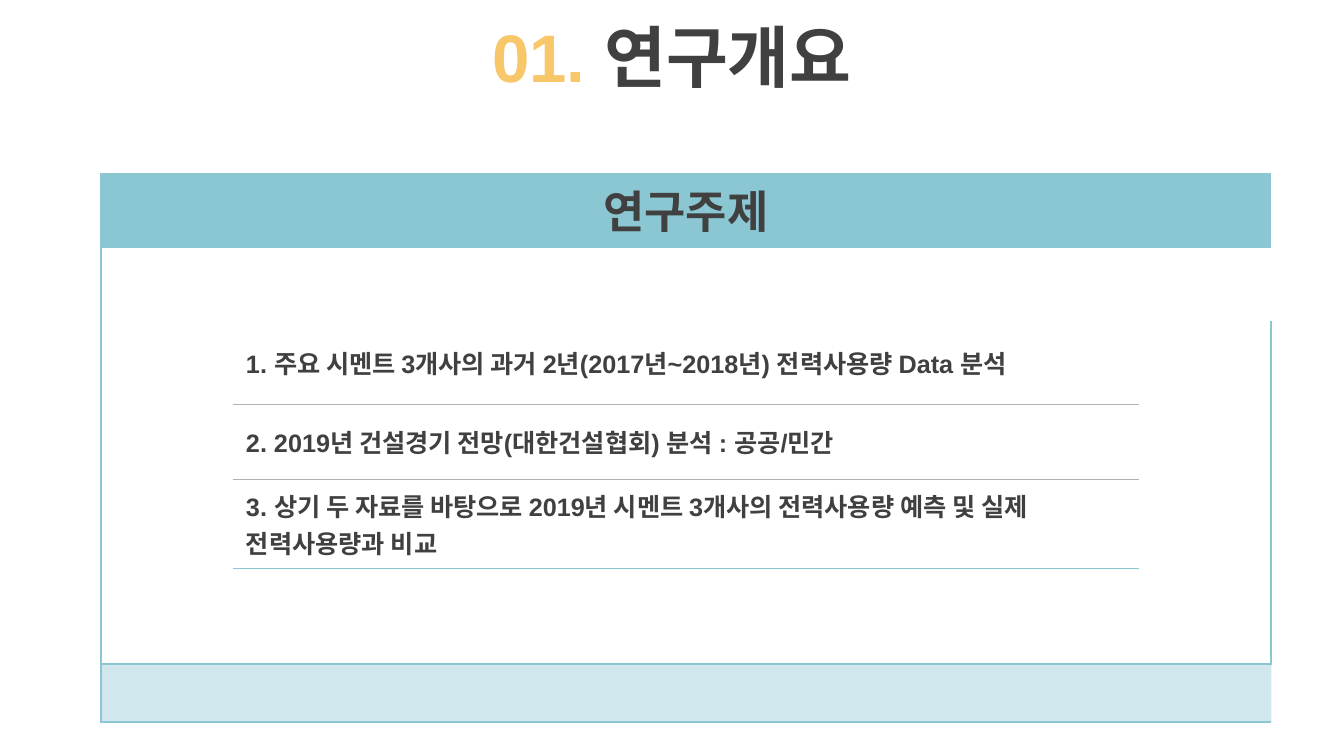
from lxml import etree
from pptx import Presentation
from pptx.dml.color import RGBColor
from pptx.enum import text
from pptx.oxml import ns
from pptx.util import Inches, Pt

# Content
TITLE = [("01. ", "F7C76A"), ("연구개요", "404040")]
HEADING = "연구주제"
TOPICS = [
    "1. 주요 시멘트 3개사의 과거 2년(2017년~2018년) 전력사용량 Data 분석",
    "2. 2019년 건설경기 전망(대한건설협회) 분석 : 공공/민간",
    "3. 상기 두 자료를 바탕으로 2019년 시멘트 3개사의 전력사용량 예측 및 실제 전력사용량과 비교",
]

# Table layout
LEFT, TOP = 1, 1.73
COLS = [1.31, 8.99, 1.31]
ROWS = [0.72, 0.74, 0.82, 0.75, 0.88, 0.95, 0.57]
FIRST_TOPIC = 2
MERGED_ROWS = (0, 1, 6)
DARK, TEAL, GRAY, WHITE = "404040", "8AC7D3", "B0B0B0", "FFFFFF"
FRAME = (TEAL, 1.5)
FRAME_EDGES = (0, 1, 6, 7)
TOPIC_EDGES = {2: (GRAY, 1), 3: (GRAY, 1), 4: (GRAY, 1), 5: (TEAL, 1)}


def rgb(value):
    return RGBColor.from_string(value)


def add_run(p, words, size, color):
    r = p.add_run()
    r.text = words
    r.font.name, r.font.size, r.font.bold = "Arial", Pt(size), True
    r.font.color.rgb = rgb(color)


def row_edge(edge, col):
    """Line along a horizontal edge, counted from the table top."""
    if edge in FRAME_EDGES:
        return FRAME
    return TOPIC_EDGES.get(edge) if col == 1 else None


def set_borders(cell, lines):
    props = cell._tc.get_or_add_tcPr()
    for i, (side, line) in enumerate(zip("LRTB", lines)):
        ln = etree.Element(ns.qn("a:ln" + side))
        if line:
            ln.set("w", str(Pt(line[1])))
            fill = etree.SubElement(ln, ns.qn("a:solidFill"))
            etree.SubElement(fill, ns.qn("a:srgbClr"), val=line[0])
        else:
            etree.SubElement(ln, ns.qn("a:noFill"))
        props.insert(i, ln)


prs = Presentation()
prs.slide_width, prs.slide_height = Inches(13.33), Inches(7.5)
s = prs.slides.add_slide(prs.slide_layouts[6])

# Title
tf = s.shapes.add_textbox(0, Inches(0.04), prs.slide_width, Inches(1.13)).text_frame
tf.word_wrap = True
tf.vertical_anchor = text.MSO_ANCHOR.MIDDLE
p = tf.paragraphs[0]
p.alignment, p.line_spacing = text.PP_ALIGN.CENTER, 0.9
for words, color in TITLE:
    add_run(p, words, 48, color)

# Table grid
table = s.shapes.add_table(len(ROWS), len(COLS), Inches(LEFT), Inches(TOP),
                           Inches(sum(COLS)), Inches(sum(ROWS))).table
table.first_row = table.horz_banding = False
for col, width in zip(table.columns, COLS):
    col.width = Inches(width)
for row, height in zip(table.rows, ROWS):
    row.height = Inches(height)

# Fills and borders
last_row, last_col = len(ROWS) - 1, len(COLS) - 1
for i in range(len(ROWS)):
    for j in range(len(COLS)):
        cell = table.cell(i, j)
        cell.margin_left = cell.margin_right = Inches(0.13)
        cell.margin_top = cell.margin_bottom = Inches(0.07)
        cell.vertical_anchor = text.MSO_ANCHOR.MIDDLE
        cell.fill.solid()
        cell.fill.fore_color.rgb = rgb(TEAL if i in (0, last_row) else WHITE)
        if i == last_row:
            tint = cell._tc.tcPr.find(".//" + ns.qn("a:srgbClr"))
            etree.SubElement(tint, ns.qn("a:alpha"), val="40000")
        set_borders(cell, (FRAME if j == 0 else None,
                           FRAME if j == last_col else None,
                           row_edge(i, j), row_edge(i + 1, j)))
for i in MERGED_ROWS:
    table.cell(i, 0).merge(table.cell(i, last_col))

# Table text
p = table.cell(0, 0).text_frame.paragraphs[0]
p.alignment, p.line_spacing = text.PP_ALIGN.CENTER, 0.9
add_run(p, HEADING, 32, DARK)
for i, topic in enumerate(TOPICS, FIRST_TOPIC):
    add_run(table.cell(i, 1).text_frame.paragraphs[0], topic, 18, DARK)

prs.save("out.pptx")
